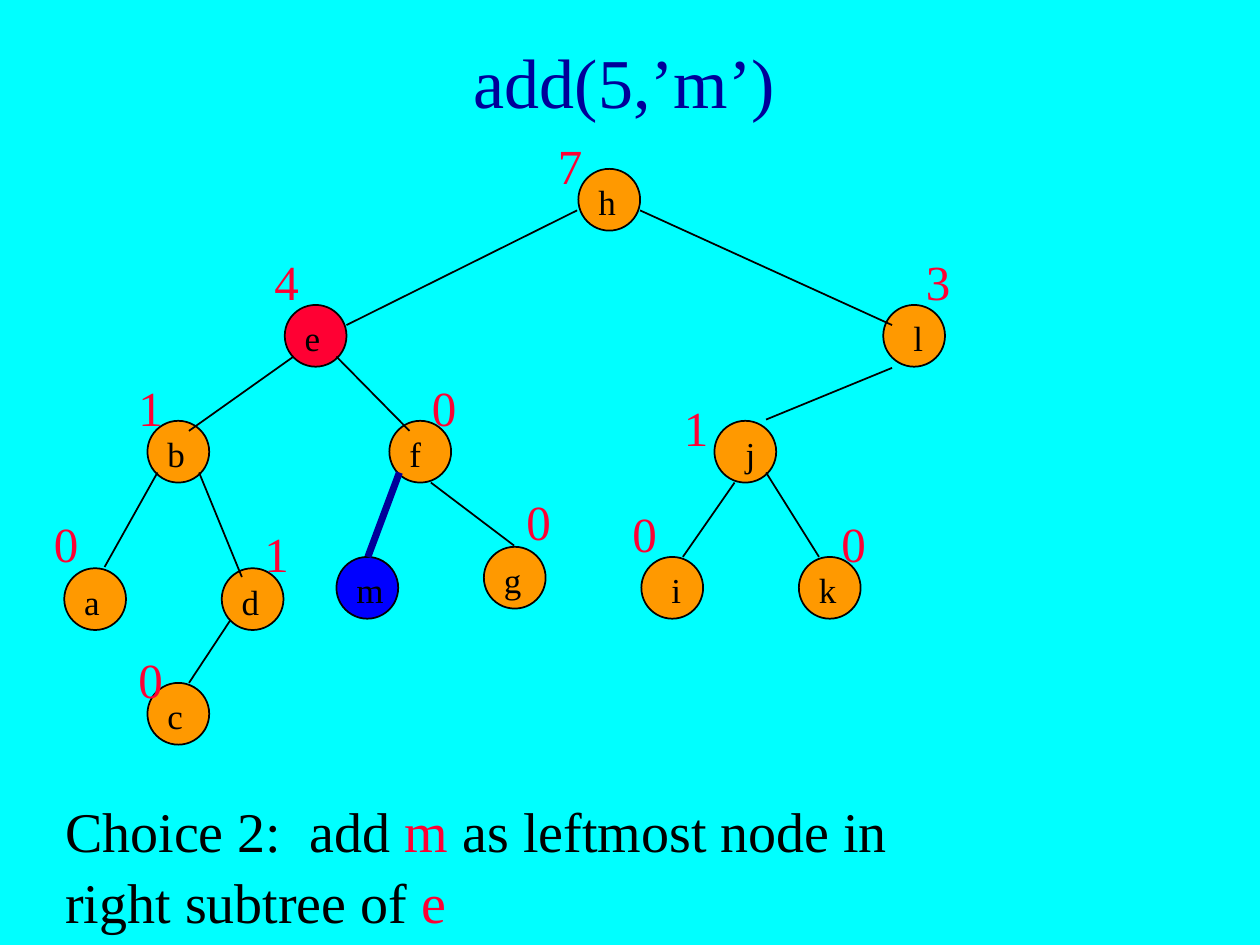
from pptx import Presentation
from pptx.dml.color import RGBColor
from pptx.enum.shapes import MSO_CONNECTOR, MSO_SHAPE
from pptx.enum.text import MSO_ANCHOR, PP_ALIGN
from pptx.oxml.ns import qn
from pptx.util import Emu, Pt

OVAL = MSO_SHAPE.OVAL
LINE = MSO_CONNECTOR.STRAIGHT
MIDDLE = MSO_ANCHOR.MIDDLE
TOP = MSO_ANCHOR.TOP
CENTER = PP_ALIGN.CENTER
LEFT = PP_ALIGN.LEFT

CYAN = RGBColor(0x00, 0xFF, 0xFF)
NAVY = RGBColor(0x00, 0x00, 0x99)
BLUE = RGBColor(0x00, 0x00, 0xFF)
ORANGE = RGBColor(0xFF, 0x99, 0x00)
RED = RGBColor(0xFF, 0x00, 0x33)
BLACK = RGBColor(0x00, 0x00, 0x00)

PX = 9144
NODE = 49


def px(*nums):
    return [Emu(n * PX) for n in nums]


def write(shape, runs, size, wrap=True, align=LEFT, anchor=TOP):
    frame = shape.text_frame
    frame.word_wrap = wrap
    frame.vertical_anchor = anchor
    para = frame.paragraphs[0]
    para.alignment = align
    para.line_spacing = 1.05
    for text, color in runs:
        run = para.add_run()
        run.text = text
        style = {"name": "Times New Roman", "size": Pt(size), "bold": False}
        for key, value in style.items():
            setattr(run.font, key, value)
        run.font.color.rgb = color


deck = Presentation()
deck.slide_width, deck.slide_height = px(1000, 750)
slide = deck.slides.add_slide(deck.slide_layouts[5])
slide.background.fill.solid()
slide.background.fill.fore_color.rgb = CYAN
shapes = slide.shapes

title = shapes.title
title.left, title.top, title.width, title.height = px(8, 0, 975, 125)
write(title, [("add(5,’m’)", NAVY)], 40, align=CENTER, anchor=MIDDLE)

nodes = [
    ("h", 459, 134, 6, 34), ("e", 226, 242, 6, 33), ("l", 701, 242, 14, 28),
    ("b", 117, 334, 6, 34), ("f", 309, 334, 6, 29), ("j", 567, 334, 15, 28),
    ("a", 51, 451, 6, 33), ("d", 176, 451, 6, 34), ("i", 509, 442, 14, 28),
    ("k", 634, 442, 6, 34), ("c", 117, 542, 6, 33), ("g", 384, 434, 6, 34),
    ("m", 267, 442, 6, 42),
]
fills = {"e": RED, "m": BLUE}
for name, x, y, shift, wide in nodes:
    node = shapes.add_shape(OVAL, *px(x, y, NODE, NODE))
    node.shadow.inherit = False
    node.fill.solid()
    node.fill.fore_color.rgb = fills.get(name, ORANGE)
    node.line.color.rgb = BLACK
    node.line.width = Pt(1)

edges = [
    (458, 167, 275, 258), (508, 167, 708, 258), (233, 283, 150, 342),
    (267, 283, 325, 342), (708, 292, 608, 333), (125, 375, 83, 450),
    (158, 375, 192, 458), (583, 383, 542, 442), (608, 375, 650, 442),
    (183, 492, 150, 542), (342, 383, 408, 433), (317, 375, 292, 442),
]
for ends in edges:
    edge = shapes.add_connector(LINE, *px(*ends))
    added = ends == edges[-1]
    edge.line.color.rgb = NAVY if added else BLACK
    edge.line.width = Pt(4 if added else 1)
    props = edge._element.spPr
    props.append(props.makeelement(qn("a:effectLst"), {}))

for name, x, y, shift, wide in nodes:
    label = shapes.add_textbox(*px(x + shift, y + 3, wide, 43))
    write(label, [(name, BLACK)], 20, wrap=False)

counts = [
    ("7", 433, 100), ("4", 208, 192), ("3", 725, 192), ("1", 100, 292),
    ("0", 333, 292), ("1", 533, 308), ("0", 33, 400), ("1", 200, 408),
    ("0", 408, 383), ("0", 492, 392), ("0", 658, 400), ("0", 100, 508),
]
for digit, x, y in counts:
    count = shapes.add_textbox(*px(x, y, 25, 57))
    write(count, [(digit, RED)], 28)

note = shapes.add_textbox(*px(42, 625, 725, 117))
write(note, [("Choice 2:  add ", BLACK), ("m", RED),
             (" as leftmost node in right subtree of ", BLACK), ("e", RED)], 32)

deck.save("out.pptx")
